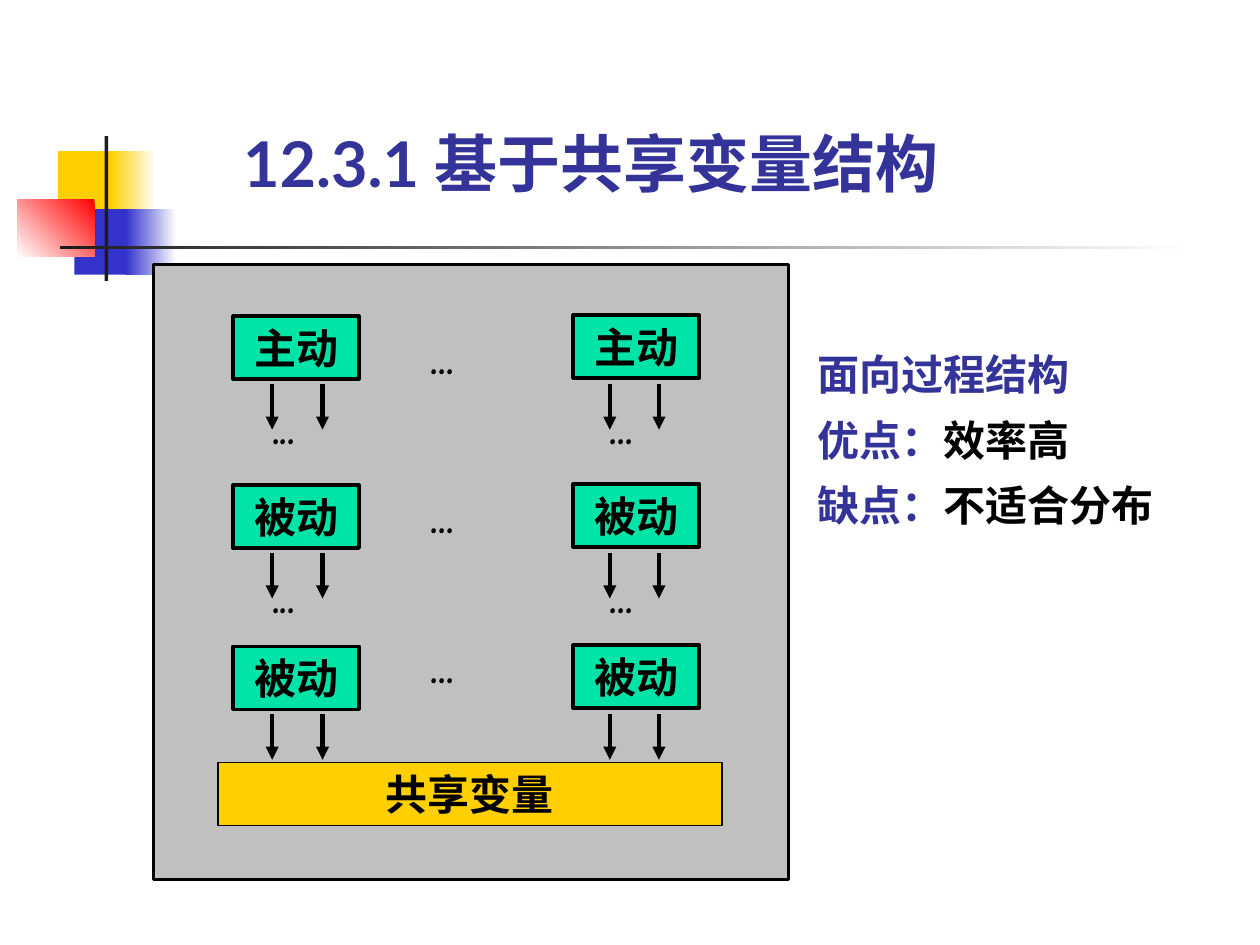
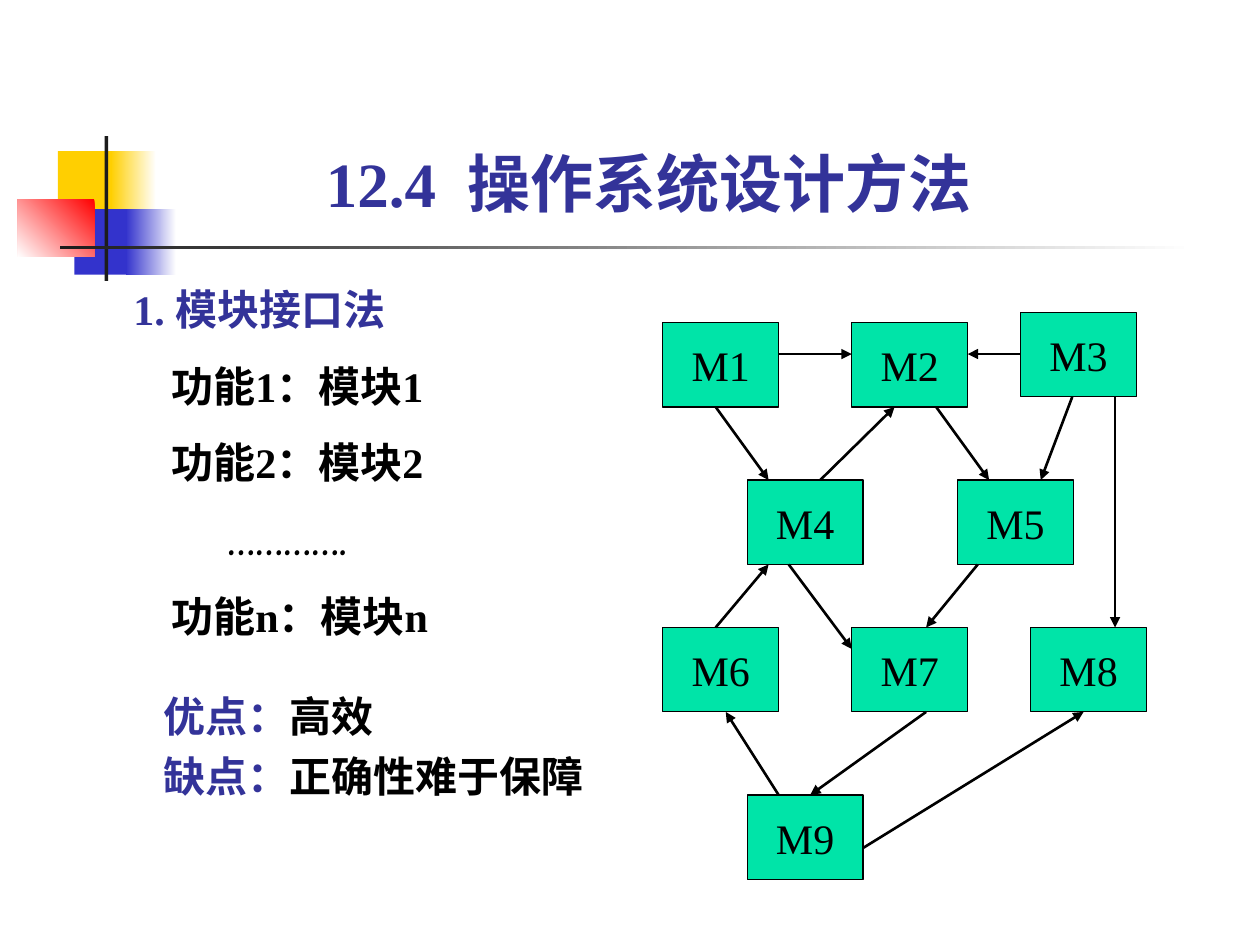
from dataclasses import dataclass
from lxml.etree import SubElement
from pptx import Presentation
from pptx.dml.color import RGBColor
from pptx.enum.shapes import MSO_CONNECTOR, MSO_SHAPE
from pptx.enum.text import MSO_ANCHOR, MSO_AUTO_SIZE, PP_ALIGN
from pptx.oxml.ns import qn
from pptx.util import Inches, Pt


@dataclass(frozen=True)
class Theme:
    black: str = "000000"
    white: str = "FFFFFF"
    ink: str = "1C1C1C"
    navy: str = "333399"
    blue: str = "3333CC"
    gold: str = "FFCF01"
    red: str = "FF0000"
    green: str = "00E4A8"
    gray: str = "C0C0C0"
    serif: str = "Times New Roman"
    sans: str = "Lato"
    comic: str = "Comic Neue"
    head: int = 36
    body: int = 24


theme = Theme()


def rect(slide, at, fill, line=0):
    shape = slide.shapes.add_shape(MSO_SHAPE.RECTANGLE, *map(Inches, at))
    shape.shadow.inherit = False
    if isinstance(fill, tuple):
        start, end, angle = fill
        shape.fill.gradient()
        shape.fill.gradient_angle = angle
        for stop, color in zip(shape.fill.gradient_stops, (start, end)):
            stop.color.rgb = RGBColor.from_string(color)
    else:
        shape.fill.solid()
        shape.fill.fore_color.rgb = RGBColor.from_string(fill)
    if line:
        shape.line.width = Pt(line)
        shape.line.color.rgb = RGBColor.from_string(theme.black)
    else:
        shape.line.fill.background()
    return shape


def write(shape, rows, size=theme.body, font=theme.serif, bold=True,
          align=PP_ALIGN.LEFT, anchor=MSO_ANCHOR.TOP, inset=(0, 0), space=None):
    frame = shape.text_frame
    frame.word_wrap = True
    frame.vertical_anchor = anchor
    frame.margin_left = frame.margin_right = Inches(inset[0])
    frame.margin_top = frame.margin_bottom = Inches(inset[1])
    frame.auto_size = MSO_AUTO_SIZE.SHAPE_TO_FIT_TEXT
    for i, row in enumerate(rows):
        para = frame.add_paragraph() if i else frame.paragraphs[0]
        para.alignment = align
        if space:
            para.line_spacing = space
        for text, color in row:
            run = para.add_run()
            run.text = text
            run.font.size = Pt(size)
            run.font.name = font
            run.font.bold = bold
            run.font.color.rgb = RGBColor.from_string(color)


deck = Presentation()
deck.slide_width = Inches(10)
deck.slide_height = Inches(7.5)
layout = deck.slide_layouts[5]
shared = deck.slides.add_slide(layout)
flow = shared
graph = deck.slides.add_slide(layout)

bands = [
    ((0.46, 1.2, 0.48, 0.52), theme.gold),
    ((0.88, 1.2, 0.36, 0.52), (theme.white, theme.gold, 180)),
    ((0.59, 1.66, 0.46, 0.52), theme.blue),
    ((1, 1.66, 0.4, 0.52), (theme.white, theme.blue, 180)),
    ((0.14, 1.58, 0.61, 0.46), (theme.red, theme.white, 225)),
    ((0.83, 1.08, 0.03, 1.15), theme.ink),
    ((0.48, 1.95, 9, 0.03), (theme.white, theme.ink, 180)),
]
for i, (at, fill) in enumerate(bands):
    band = rect(shared, at, fill)
    band.name = f"Band {i + 1}"
    band.element.nvSpPr.cNvPr.set("id", str(50 + i))
    layout.shapes.element.append(band.element)

titles = [
    (flow, "12.3.1 基于共享变量结构", (1.93, 0.99, 6.14, 0.6),
     theme.sans, PP_ALIGN.LEFT, MSO_ANCHOR.BOTTOM),
    (graph, "12.4  操作系统设计方法", (2.16, 1.15, 5.98, 0.6),
     theme.serif, PP_ALIGN.CENTER, MSO_ANCHOR.MIDDLE),
]
for slide, text, at, font, align, anchor in titles:
    title = slide.shapes.title
    title.left, title.top, title.width, title.height = map(Inches, at)
    write(title, [[(text, theme.navy)]], theme.head, font, align=align, anchor=anchor)

rect(flow, (1.22, 2.1, 5.04, 4.88), theme.gray, 1.5)
boxes = [(flow, "共享变量", (1.73, 6.05, 4, 0.5), theme.gold, 0.75, True)]
arrows = []
dots = [(3.42, 2.72), (3.42, 3.98), (3.42, 5.17)]
tiers = [("主动", 2.5), ("被动", 3.84), ("被动", 5.12)]
for i, (text, top) in enumerate(tiers):
    for left, drop, ends in [(1.85, 0.01, (2.16, 2.56)), (4.55, 0, (4.84, 5.23))]:
        boxes.append((flow, text, (left, top + drop, 1, 0.5), theme.green, 2, True))
        for x in ends:
            arrows.append((flow, 2.5, (x, top + 0.55, x, top + 0.91)))
        if i < len(tiers) - 1:
            dots.append((ends[0], top + 0.77))

wide, high = 0.92, 0.67
nodes = {
    "M1": (5.26, 2.56), "M2": (6.76, 2.56), "M3": (8.1, 2.48),
    "M4": (5.93, 3.81), "M5": (7.6, 3.81),
    "M6": (5.26, 4.98), "M7": (6.76, 4.98), "M8": (8.18, 4.98),
    "M9": (5.93, 6.31),
}
for text, (left, top) in nodes.items():
    boxes.append((graph, text, (left, top, wide, high), theme.green, 0.75, False))

calls = [
    ("M1", 5.68, "M4", 6.1), ("M4", 6.51, "M2", 7.1), ("M2", 7.43, "M5", 7.85),
    ("M5", 7.76, "M7", 7.35), ("M6", 5.68, "M4", 6.1), ("M3", 8.51, "M5", 8.26),
    ("M3", 8.85, "M8", 8.85), ("M7", 7.35, "M9", 6.43), ("M9", 6.18, "M6", 5.76),
]
for source, x1, target, x2 in calls:
    y1, y2 = nodes[source][1], nodes[target][1]
    if y1 < y2:
        y1 += high
    else:
        y2 += high
    arrows.append((graph, 1.5, (x1, y1, x2, y2)))
for ends in [(6.18, 2.81, 6.76, 2.81), (8.1, 2.81, 7.68, 2.81),
             (6.26, 4.48, 6.76, 5.15), (6.85, 6.73, 8.6, 5.65)]:
    arrows.append((graph, 1.5, ends))

for slide, text, at, fill, line, bold in boxes:
    box = rect(slide, at, fill, line)
    write(box, [[(text, theme.black)]], bold=bold, align=PP_ALIGN.CENTER,
          anchor=MSO_ANCHOR.MIDDLE, inset=(0.1, 0.05))
    if slide is graph:
        box.text_frame.word_wrap = False
        box.text_frame.auto_size = MSO_AUTO_SIZE.NONE

for slide, width, ends in arrows:
    arrow = slide.shapes.add_connector(MSO_CONNECTOR.STRAIGHT, *map(Inches, ends))
    arrow.line.width = Pt(width)
    arrow.line.color.rgb = RGBColor.from_string(theme.black)
    SubElement(arrow.line._get_or_add_ln(), qn("a:tailEnd"), type="triangle")
    SubElement(arrow.element.spPr, qn("a:effectLst"))

for left, top in dots:
    dot = flow.shapes.add_textbox(*map(Inches, (left, top, 0.55, 0.32)))
    write(dot, [[("...", theme.black)]], font=theme.comic, space=0.8)

notes = [
    (flow, (6.49, 2.65, 2.92, 1.56), 1.3,
     [[("面向过程结构", theme.navy)],
      [("优点：", theme.navy), ("效率高", theme.black)],
      [("缺点：", theme.navy), ("不适合分布", theme.black)]]),
    (graph, (1.3, 5.4, 3.54, 0.96), 1.2,
     [[("优点：", theme.navy), ("高效", theme.black)],
      [("缺点：", theme.navy), ("正确性难于保障", theme.black)]]),
]
for slide, at, space, rows in notes:
    write(slide.shapes.add_textbox(*map(Inches, at)), rows, space=space)

steps = [
    ("1. 模块接口法", theme.navy, 0),
    ("功能1：模块1", theme.black, 0.3),
    ("功能2：模块2", theme.black, 0.3),
    ("………….", theme.black, 0.75),
    ("功能n：模块n", theme.black, 0.3),
]
method = graph.shapes.add_textbox(*map(Inches, (1.06, 2.25, 3.5, 2.83)))
write(method, [[(text, color)] for text, color, indent in steps])
for i, (para, step) in enumerate(zip(method.text_frame.paragraphs, steps)):
    para._p.get_or_add_pPr().set("marL", str(Inches(step[2])))
    if i:
        para.space_before = Pt(15)
method.text_frame.paragraphs[3].runs[0].font.name = theme.comic

deck.save("out.pptx")
